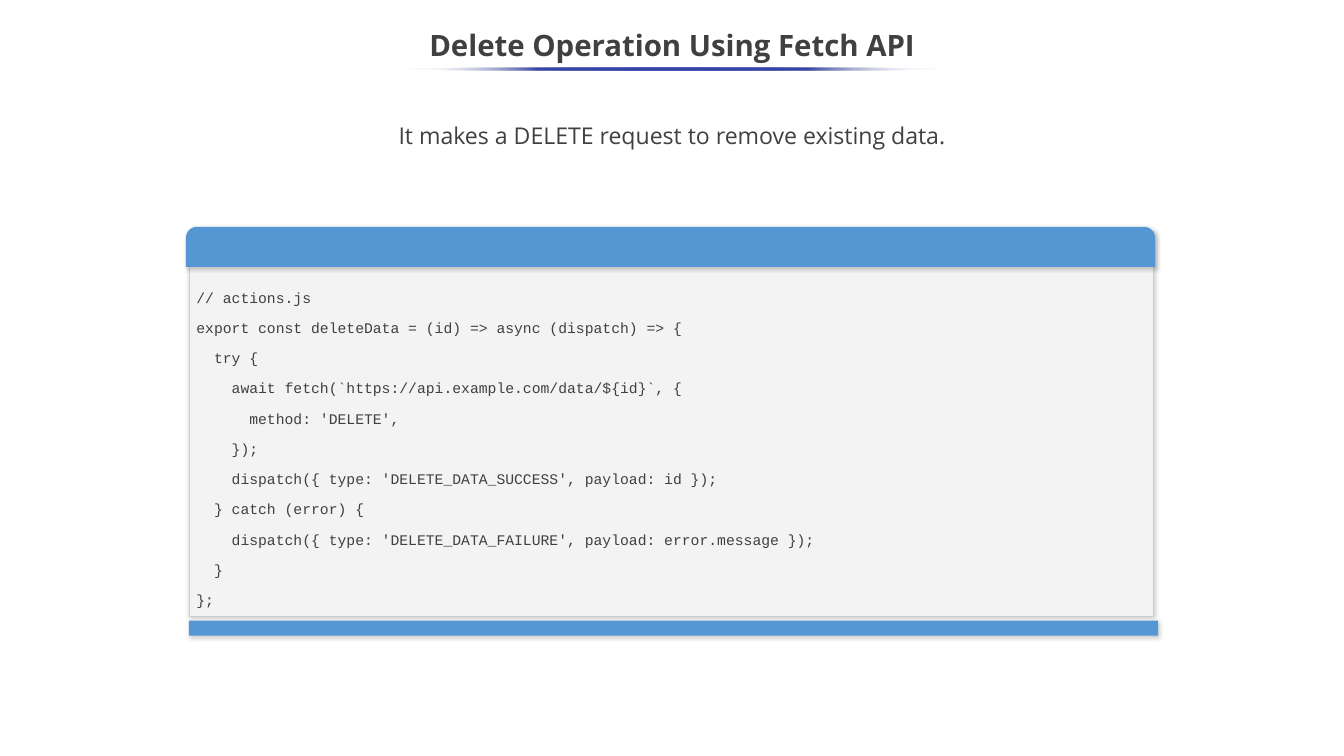
from lxml import etree
from pptx import Presentation
from pptx.dml.color import RGBColor
from pptx.enum.shapes import MSO_SHAPE
from pptx.enum.text import MSO_ANCHOR, PP_ALIGN
from pptx.oxml.ns import qn
from pptx.util import Inches, Pt

RECT, ROUND_TOP, OVAL = MSO_SHAPE.RECTANGLE, MSO_SHAPE.ROUND_2_SAME_RECTANGLE, MSO_SHAPE.OVAL
LEFT, CENTER = PP_ALIGN.LEFT, PP_ALIGN.CENTER
TOP, MIDDLE, BOTTOM = MSO_ANCHOR.TOP, MSO_ANCHOR.MIDDLE, MSO_ANCHOR.BOTTOM

COLORS = {
    "text": "404040",
    "rule": "3645A9",
    "fade": "FFFFFF",
    "header": "5597D3",
    "footer": "5497D4",
    "code": "F3F3F3",
    "border": "CCCCCC",
    "shadow": "000000",
}

CODE = """// actions.js
export const deleteData = (id) => async (dispatch) => {
  try {
    await fetch(`https://api.example.com/data/${id}`, {
      method: 'DELETE',
    });
    dispatch({ type: 'DELETE_DATA_SUCCESS', payload: id });
  } catch (error) {
    dispatch({ type: 'DELETE_DATA_FAILURE', payload: error.message });
  }
};"""


def rgb(name):
    return RGBColor.from_string(COLORS[name])


def add_color(parent, name, alpha=100):
    """Append a colour element with its opacity in percent."""
    clr = etree.SubElement(parent, qn("a:srgbClr"), val=COLORS[name])
    if alpha < 100:
        etree.SubElement(clr, qn("a:alpha"), val=str(alpha * 1000))


def write(sp, text, size, font="Open Sans", bold=False, align=CENTER,
          anchor=TOP, spacing=1.0, before=0, inset=0.05):
    """Fill a shape with one paragraph per line of text."""
    tf = sp.text_frame
    tf.word_wrap = True
    tf.vertical_anchor = anchor
    tf.margin_left = tf.margin_right = Inches(0.1)
    tf.margin_top = tf.margin_bottom = Inches(inset)
    for i, line in enumerate(text.split("\n")):
        p = tf.add_paragraph() if i else tf.paragraphs[0]
        p.alignment = align
        p.line_spacing = spacing
        p.space_before = Pt(before)
        r = p.add_run()
        r.text = line
        r.font.name = font
        r.font.size = Pt(size)
        r.font.bold = bold
        r.font.color.rgb = rgb("text")


def add_title(s, text):
    sp = s.shapes.title
    sp.left, sp.top = Inches(-0.01), Inches(0.25)
    sp.width, sp.height = Inches(17.8), Inches(0.75)
    write(sp, text, 28, bold=True, anchor=MIDDLE, spacing=0.9)


def add_rule(s, x, y, w, h):
    """Draw a thin ellipse that fades out at both ends."""
    sp = s.shapes.add_shape(OVAL, Inches(x), Inches(y), Inches(w), Inches(h))
    sp.shadow.inherit = False
    sp.line.fill.background()
    sp.fill.gradient()
    sp.fill.gradient_angle = 180
    stops = sp._element.spPr.find(qn("a:gradFill")).find(qn("a:gsLst"))
    for gs in list(stops):
        stops.remove(gs)
    for pos in range(0, 101, 25):
        gs = etree.SubElement(stops, qn("a:gs"), pos=str(pos * 1000))
        if pos in (0, 100):
            add_color(gs, "fade", 0)
        else:
            add_color(gs, "rule")


def add_panel(shapes, kind, x, y, w, h, fill, line=None):
    """Add a filled shape with a soft shadow."""
    sp = shapes.add_shape(kind, Inches(x), Inches(y), Inches(w), Inches(h))
    sp.fill.solid()
    sp.fill.fore_color.rgb = rgb(fill)
    if line:
        sp.line.color.rgb = rgb(line)
        sp.line.width = Pt(0.75)
    else:
        sp.line.fill.background()
    sp.shadow.inherit = False
    effects = sp._element.spPr.find(qn("a:effectLst"))
    shadow = etree.SubElement(effects, qn("a:outerShdw"), blurRad=str(Pt(4.5)),
                              dist=str(Pt(1.5)), dir=str(47 * 60000),
                              algn="tl", rotWithShape="0")
    add_color(shadow, "shadow", 20)
    return sp


def add_code_window(s, code):
    shapes = s.shapes.add_group_shape().shapes
    body = add_panel(shapes, RECT, 2.5, 3.06, 12.76, 5.09, "code", "border")
    write(body, code, 14, font="Courier New", align=LEFT, anchor=BOTTOM,
          before=12, inset=0.1)
    header = add_panel(shapes, ROUND_TOP, 2.46, 3, 12.82, 0.53, "header")
    header.adjustments[0] = 0.275
    add_panel(shapes, RECT, 2.5, 8.21, 12.82, 0.2, "footer")


def main():
    prs = Presentation()
    prs.slide_width, prs.slide_height = Inches(17.78), Inches(10)
    s = prs.slides.add_slide(prs.slide_layouts[5])
    add_title(s, "Delete Operation Using Fetch API")
    add_rule(s, 5.35, 0.89, 7.1, 0.04)
    intro = s.shapes.add_textbox(Inches(2.3), Inches(1.5), Inches(13.18), Inches(0.5))
    write(intro, "It makes a DELETE request to remove existing data.", 22, spacing=1.15)
    add_code_window(s, CODE)
    prs.save("out.pptx")


if __name__ == "__main__":
    main()
